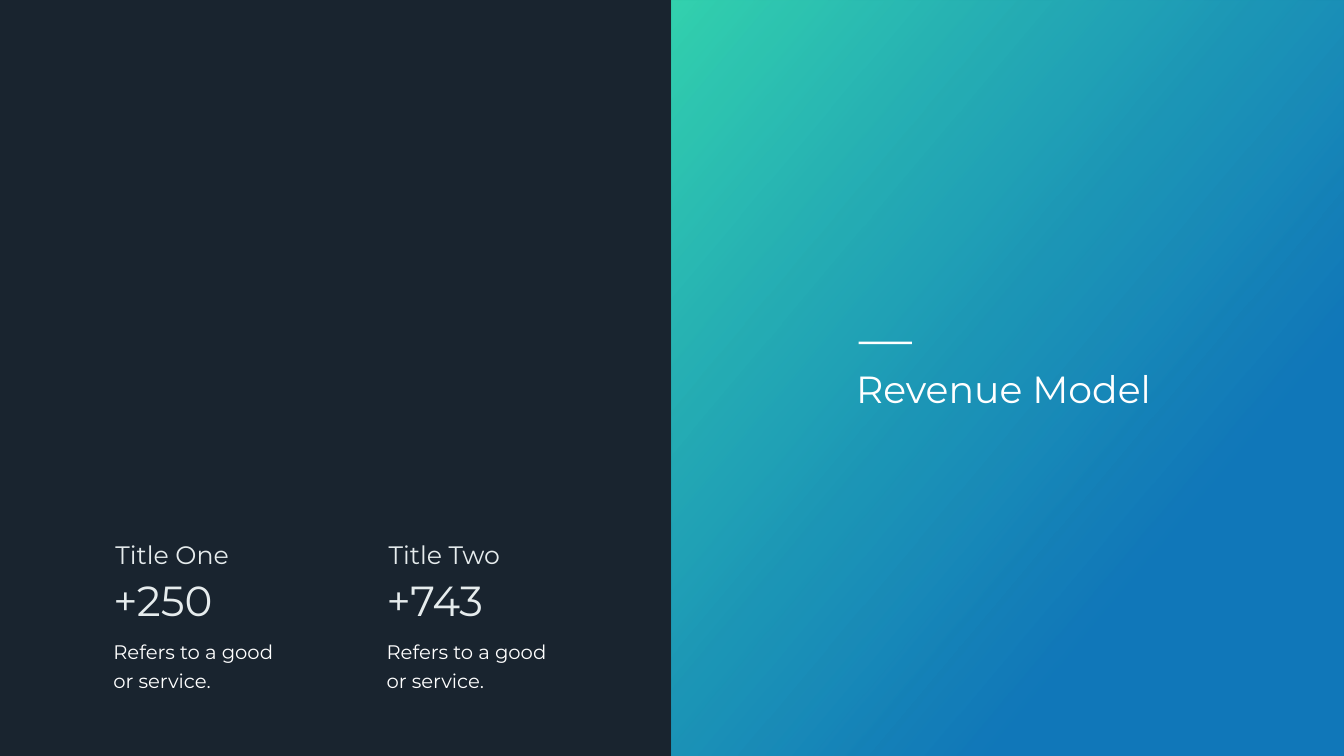
import pptx
import pptx.util
import pptx.dml.color
import pptx.enum.shapes
import pptx.enum.text
import pptx.oxml
import pptx.oxml.ns

Inches = pptx.util.Inches
Pt = pptx.util.Pt

HEADING = "Revenue Model"
METRICS = [
    ("Title One", "+250", "Refers to a good or service."),
    ("Title Two", "+743", "Refers to a good or service."),
]
COLORS = {
    "navy": "19242F",
    "green": "33D1AD",
    "blue": "0F8BDA",
    "pale": "E6ECED",
    "white": "FFFFFF",
}
FORMATS = {
    "heading": {"size": 54, "color": "white"},
    "label": {"size": 36, "color": "pale"},
    "value": {"size": 60, "color": "pale", "wrap": False},
    "detail": {"size": 28, "color": "white", "spacing": 40.8},
}
METRIC_PARTS = [
    ("label", 0.04, 10.65, 3.58, 0.71),
    ("value", 0, 11.35, 2.2, 1.11),
    ("detail", 0, 12.55, 3.43, 1.25),
]
WIDTH, HEIGHT = 26.66, 15
METRIC_LEFT, METRIC_STEP = 2.15, 5.42
GRADIENT_STOPS = [("green", 0, 100), ("blue", 0.73, 80)]


def rgb(name):
    return pptx.dml.color.RGBColor.from_string(COLORS[name])


def write(holder, text, role):
    look = FORMATS[role]
    frame = holder.text_frame
    frame.text = text
    frame_format = {
        "word_wrap": look.get("wrap", True),
        "auto_size": pptx.enum.text.MSO_AUTO_SIZE.SHAPE_TO_FIT_TEXT,
        "vertical_anchor": pptx.enum.text.MSO_ANCHOR.TOP,
    }
    for attribute, setting in frame_format.items():
        setattr(frame, attribute, setting)
    paragraph = frame.paragraphs[0]
    paragraph.alignment = pptx.enum.text.PP_ALIGN.LEFT
    if "spacing" in look:
        paragraph.line_spacing = Pt(look["spacing"])
    font = paragraph.runs[0].font
    for attribute, setting in {"name": "Montserrat", "size": Pt(look["size"])}.items():
        setattr(font, attribute, setting)
    font.color.rgb = rgb(look["color"])


def add_block(slide, *box):
    block = slide.shapes.add_shape(
        pptx.enum.shapes.MSO_SHAPE.RECTANGLE, *map(Inches, box)
    )
    block.shadow.inherit = False
    block.line.fill.background()
    return block


def add_gradient_panel(slide):
    panel = add_block(slide, WIDTH / 2, 0, WIDTH / 2, HEIGHT)
    panel.fill.gradient()
    panel.fill.gradient_angle = 320
    for stop, (color, position, opacity) in zip(panel.fill.gradient_stops, GRADIENT_STOPS):
        stop.color.rgb = rgb(color)
        stop.position = position
        if opacity < 100:
            tint = stop._gs.find(pptx.oxml.ns.qn("a:srgbClr"))
            alpha = pptx.oxml.parse_xml(
                f'<a:alpha {pptx.oxml.ns.nsdecls("a")} val="{opacity * 1000}"/>'
            )
            tint.append(alpha)


def add_metrics(slide):
    for column, texts in enumerate(METRICS):
        column_left = METRIC_LEFT + column * METRIC_STEP
        for text, (role, indent, top, width, height) in zip(texts, METRIC_PARTS):
            box = (column_left + indent, top, width, height)
            write(slide.shapes.add_textbox(*map(Inches, box)), text, role)


def add_heading(slide):
    heading = slide.shapes.title
    place = {"left": 16.88, "top": 7.21, "width": 6.23, "height": 1.01}
    for attribute, length in place.items():
        setattr(heading, attribute, Inches(length))
    write(heading, HEADING, "heading")
    slide.shapes._spTree.append(heading._element)
    accent = add_block(slide, 17.03, 6.78, 1.06, 0.05)
    accent.fill.solid()
    accent.fill.fore_color.rgb = rgb("white")


def main():
    deck = pptx.Presentation()
    deck.slide_width, deck.slide_height = Inches(WIDTH), Inches(HEIGHT)
    slide = deck.slides.add_slide(deck.slide_layouts[5])
    slide.background.fill.solid()
    slide.background.fill.fore_color.rgb = rgb("navy")
    add_gradient_panel(slide)
    add_metrics(slide)
    add_heading(slide)
    deck.save("out.pptx")


if __name__ == "__main__":
    main()
